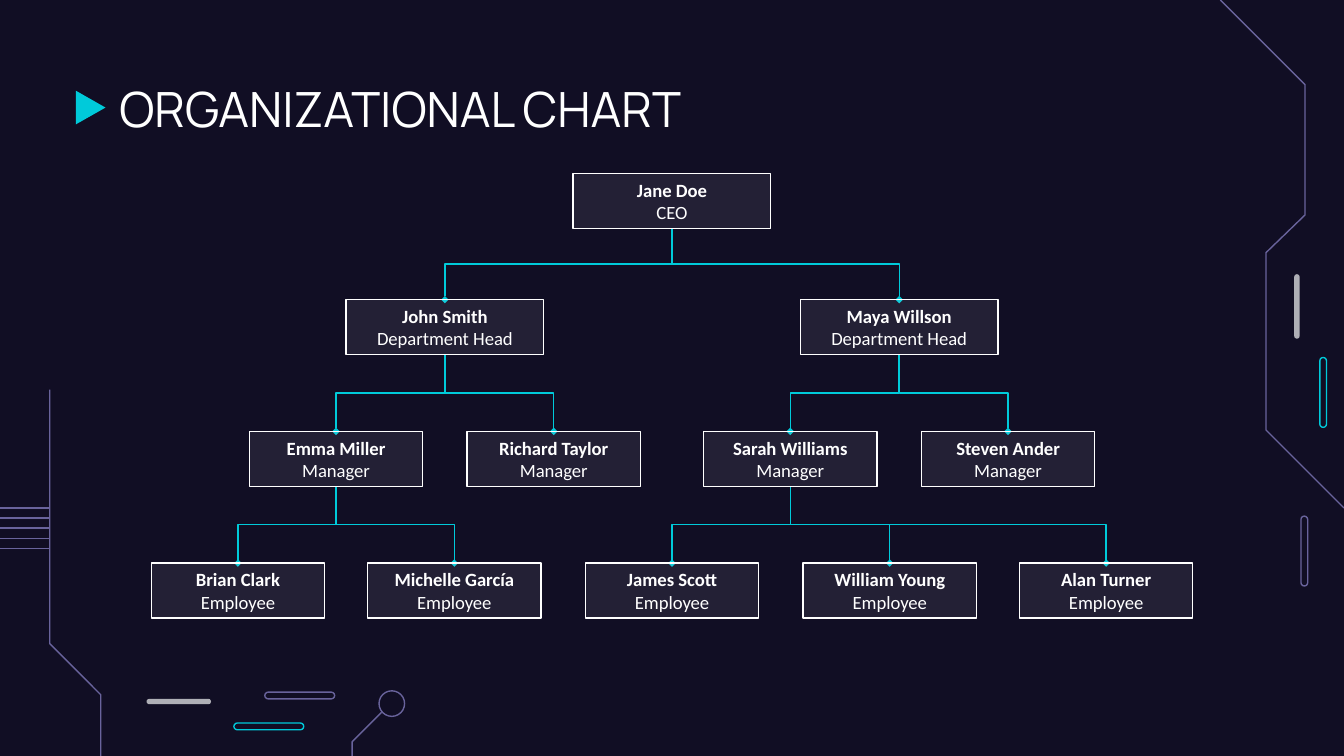
import dataclasses
import typing

import pptx
import pptx.dml.color
import pptx.enum.shapes
import pptx.enum.text
import pptx.oxml
import pptx.oxml.ns
import pptx.util

Inches = pptx.util.Inches
Kind = pptx.enum.shapes.MSO_SHAPE
Link = pptx.enum.shapes.MSO_CONNECTOR
Align = pptx.enum.text.PP_ALIGN
Anchor = pptx.enum.text.MSO_ANCHOR

NIGHT, WHITE, CYAN, MAUVE, GREY = "110E24", "FFFFFF", "00CADA", "69639C", "AFAFB6"
WIDE = 10
HIGH = WIDE * 9 / 16
BOX_HIGH = 0.41


@dataclasses.dataclass
class Level:
    role: str
    top: float
    width: float


@dataclasses.dataclass
class Person:
    name: str
    level: Level
    mid: float
    boss: typing.Optional[str] = None


@dataclasses.dataclass
class Bar:
    left: float
    top: float
    width: float
    height: float
    fill: typing.Optional[str] = None
    line: typing.Optional[str] = None


CEO = Level("CEO", 1.29, 1.47)
HEAD = Level("Department Head", 2.23, 1.47)
MANAGER = Level("Manager", 3.21, 1.29)
STAFF = Level("Employee", 4.19, 1.29)

PEOPLE = [
    Person("Jane Doe", CEO, 5),
    Person("John Smith", HEAD, 3.31, "Jane Doe"),
    Person("Maya Willson", HEAD, 6.69, "Jane Doe"),
    Person("Emma Miller", MANAGER, 2.5, "John Smith"),
    Person("Richard Taylor", MANAGER, 4.12, "John Smith"),
    Person("Sarah Williams", MANAGER, 5.88, "Maya Willson"),
    Person("Steven Ander", MANAGER, 7.5, "Maya Willson"),
    Person("Brian Clark", STAFF, 1.77, "Emma Miller"),
    Person("Michelle García", STAFF, 3.38, "Emma Miller"),
    Person("James Scott", STAFF, 5, "Sarah Williams"),
    Person("William Young", STAFF, 6.62, "Sarah Williams"),
    Person("Alan Turner", STAFF, 8.23, "Sarah Williams"),
]

BARS = [
    Bar(9.63, 2.04, 0.04, 0.48, fill=GREY),
    Bar(1.09, 5.2, 0.48, 0.04, fill=GREY),
    Bar(9.82, 2.66, 0.05, 0.52, line=CYAN),
    Bar(9.68, 3.84, 0.05, 0.52, line=MAUVE),
    Bar(1.74, 5.38, 0.52, 0.05, line=CYAN),
    Bar(1.97, 5.15, 0.52, 0.05, line=MAUVE),
]

TRACES = [
    [(WIDE, 3.78), (9.42, 3.2), (9.42, 1.88), (9.71, 1.6), (9.71, 0.63), (9.08, 0)],
    [(0.75, HIGH), (0.75, 5.17), (0.37, 4.79), (0.37, 2.9)],
    [(2.84, 5.3), (2.62, 5.52), (2.62, HIGH)],
]


def color(code: str) -> pptx.dml.color.RGBColor:
    return pptx.dml.color.RGBColor.from_string(code)


def apply(item, values: dict) -> None:
    for key, value in values.items():
        setattr(item, key, value)


def add_tag(host, tag: str, **values: str) -> None:
    node = pptx.oxml.parse_xml(f"<a:{tag} {pptx.oxml.ns.nsdecls('a')}/>")
    for key, value in values.items():
        node.set(key, value)
    host.append(node)


def stroke(line, code: str) -> None:
    line.color.rgb = color(code)
    line.width = pptx.util.Pt(0.75)


def paint(shape, fill: typing.Optional[str], line: typing.Optional[str]) -> None:
    shape.shadow.inherit = False
    if fill:
        shape.fill.solid()
        shape.fill.fore_color.rgb = color(fill)
    else:
        shape.fill.background()
    if line:
        stroke(shape.line, line)
    else:
        shape.line.fill.background()


def add_shape(slide, kind, left: float, top: float, width: float, height: float,
              fill: typing.Optional[str] = None, line: typing.Optional[str] = None):
    shape = slide.shapes.add_shape(kind, Inches(left), Inches(top), Inches(width), Inches(height))
    paint(shape, fill, line)
    return shape


def add_line(slide, kind, start: tuple, end: tuple, code: str):
    points = [Inches(n) for n in (*start, *end)]
    line = slide.shapes.add_connector(kind, *points)
    stroke(line.line, code)
    add_tag(line._element.spPr, "effectLst")
    return line


def add_trace(slide, points: list) -> None:
    spots = [(Inches(x), Inches(y)) for x, y in points]
    pen = slide.shapes.build_freeform(*spots[0])
    pen.add_line_segments(spots[1:], close=False)
    paint(pen.convert_to_shape(), None, MAUVE)


def write(para, text: str, size: float, face: str, bold: bool = False) -> None:
    run = para.add_run()
    run.text = text
    apply(run.font, {"name": face, "size": pptx.util.Pt(size), "bold": bold})
    run.font.color.rgb = color(WHITE)


def set_frame(frame) -> None:
    sides = ("left", "right", "top", "bottom")
    apply(frame, {f"margin_{side}": Inches(0.1) for side in sides})
    apply(frame, {"word_wrap": True, "vertical_anchor": Anchor.MIDDLE})


def add_box(slide, person: Person):
    level = person.level
    box = add_shape(slide, Kind.RECTANGLE, person.mid - level.width / 2, level.top,
                    level.width, BOX_HIGH, WHITE, WHITE)
    tint = box.fill._xPr.find(".//" + pptx.oxml.ns.qn("a:srgbClr"))
    add_tag(tint, "alpha", val="8000")
    frame = box.text_frame
    set_frame(frame)
    write(frame.paragraphs[0], person.name, 10, "Calibri", True)
    write(frame.add_paragraph(), level.role, 10, "Calibri")
    for para in frame.paragraphs:
        para.alignment = Align.CENTER
    return box


def add_link(slide, boss: Person, person: Person, boxes: dict):
    start = (boss.mid, boss.level.top + BOX_HIGH)
    end = (person.mid, person.level.top)
    link = add_line(slide, Link.ELBOW, start, end, CYAN)
    link.begin_connect(boxes[boss.name], 2)
    link.end_connect(boxes[person.name], 0)
    # Turn the elbow so that it leaves the boss downwards
    drop, span = end[1] - start[1], abs(end[0] - start[0])
    apply(link, {
        "left": Inches((start[0] + end[0] - drop) / 2),
        "top": Inches((start[1] + end[1] - span) / 2),
        "width": Inches(drop),
        "height": Inches(span),
    })
    right = end[0] > start[0]
    frame = link._element.spPr.xfrm
    frame.set("rot", str((270 if right else 90) * 60000))
    frame.set("flipH", "1" if right else "0")
    add_tag(link.line._get_or_add_ln(), "tailEnd", type="diamond", w="sm", len="sm")
    return link


def main() -> None:
    deck = pptx.Presentation()
    apply(deck, {"slide_width": Inches(WIDE), "slide_height": Inches(HIGH)})
    slide = deck.slides.add_slide(deck.slide_layouts[6])
    slide.background.fill.solid()
    slide.background.fill.fore_color.rgb = color(NIGHT)

    # Circuit decoration
    for bar in BARS:
        pill = add_shape(slide, Kind.ROUNDED_RECTANGLE, **dataclasses.asdict(bar))
        pill.adjustments[0] = 0.5
    for trace in TRACES:
        add_trace(slide, trace)
    for i in range(5):
        y = 3.78 + i * 0.075
        add_line(slide, Link.STRAIGHT, (0, y), (0.37, y), MAUVE)
    add_shape(slide, Kind.OVAL, 2.82, 5.14, 0.19, 0.19, line=MAUVE)

    # Title
    mark = add_shape(slide, Kind.FLOWCHART_MERGE, 0.55, 0.69, 0.25, 0.22, fill=CYAN)
    mark.rotation = 270
    title = slide.shapes.add_textbox(Inches(0.79), Inches(0.49), Inches(8.43), Inches(0.63))
    set_frame(title.text_frame)
    write(title.text_frame.paragraphs[0], "ORGANIZATIONAL CHART", 26, "Manrope")

    # Chart, with the links behind the boxes
    staff = {person.name: person for person in PEOPLE}
    boxes = {person.name: add_box(slide, person) for person in PEOPLE}
    front = boxes[PEOPLE[0].name]._element
    for person in PEOPLE:
        if person.boss:
            link = add_link(slide, staff[person.boss], person, boxes)
            front.addprevious(link._element)

    deck.save("out.pptx")


if __name__ == "__main__":
    main()
